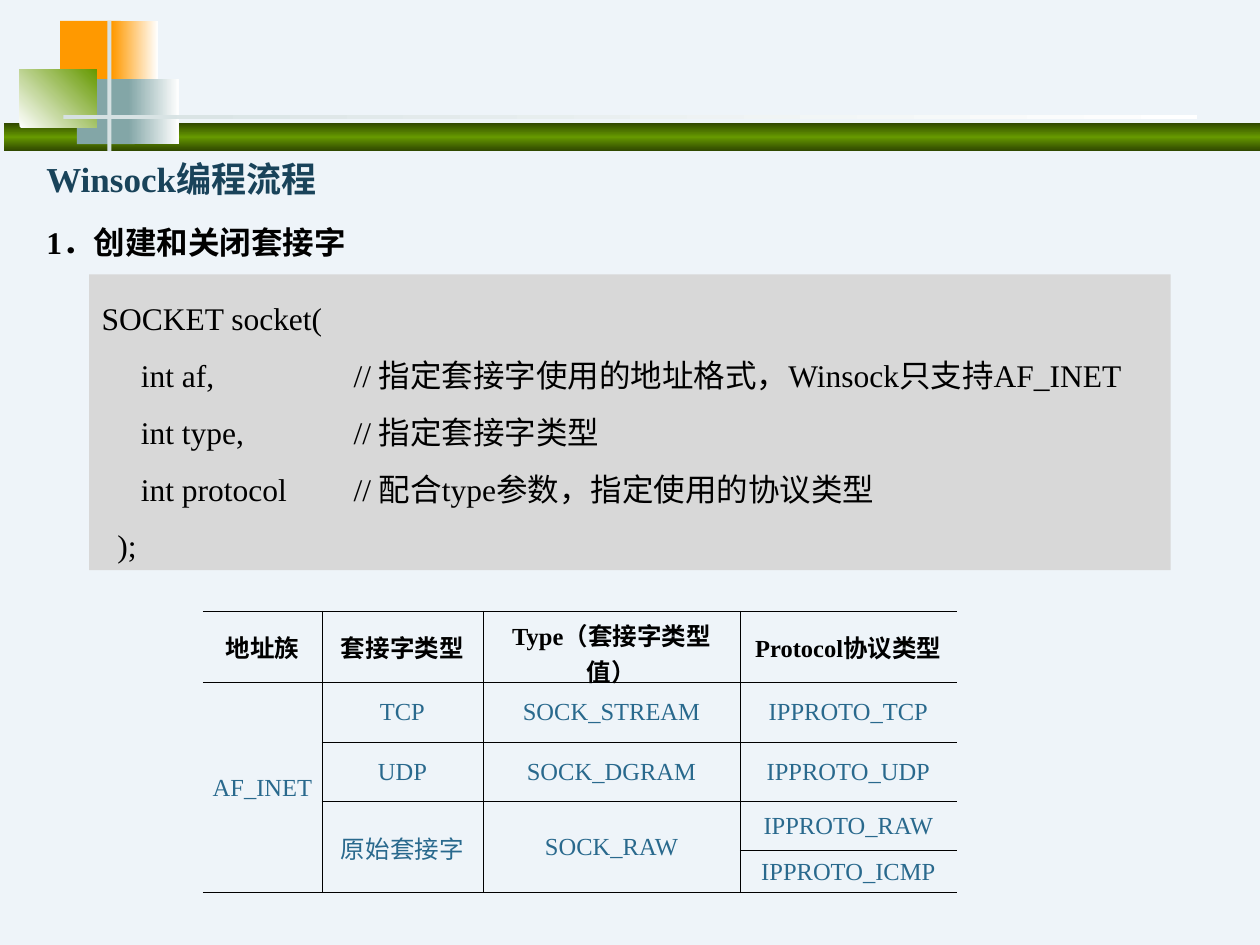
from lxml.etree import SubElement
from pptx import Presentation
from pptx.dml.color import RGBColor
from pptx.enum.shapes import MSO_SHAPE
from pptx.enum.text import MSO_ANCHOR, PP_ALIGN
from pptx.oxml.ns import qn
from pptx.util import Pt

FONT = "Times New Roman"
BACKGROUND = RGBColor(0xEE, 0xF4, 0xF9)
BLACK = RGBColor(0, 0, 0)
WHITE = RGBColor(0xFF, 0xFF, 0xFF)
GREEN = RGBColor(0x66, 0x99, 0x00)
DARK_GREEN = RGBColor(0x2F, 0x47, 0x00)
ORANGE = RGBColor(0xFF, 0x99, 0x00)
TEAL = RGBColor(0x83, 0xA6, 0xA7)
PALE_TEAL = RGBColor(0xD6, 0xE1, 0xE2)
NAVY = RGBColor(0x19, 0x43, 0x5A)
BLUE = RGBColor(0x29, 0x69, 0x8D)
GRAY = RGBColor(0xD8, 0xD8, 0xD8)

# Decoration: left, top, width, height, colours, gradient angle (clockwise)
DECORATION = [
    (2, 70.3, 718, 16, [DARK_GREEN, GREEN, DARK_GREEN], 90),
    (34.4, 12, 34.6, 37.5, [ORANGE], 0),
    (64, 12, 26.2, 37.5, [ORANGE, WHITE], 0),
    (44, 45.2, 33, 37.2, [TEAL], 0),
    (73.4, 45.2, 28.8, 37.2, [TEAL, WHITE], 0),
    (11.2, 39.5, 44.2, 33.4, [WHITE, GREEN], 315),
    (61.3, 12, 2.4, 74.4, [PALE_TEAL], 0),
    (36.2, 65.8, 648, 2.2, [PALE_TEAL, WHITE], 0),
]

# Headings: text, size, colour, space before
HEADINGS = [
    ("Winsock编程流程", 20, NAVY, 0),
    ("1．创建和关闭套接字", 18, BLACK, 4.5),
]

CODE = [
    "SOCKET socket(",
    "     int af,\t\t// 指定套接字使用的地址格式，Winsock只支持AF_INET",
    "     int type,\t// 指定套接字类型",
    "     int protocol\t// 配合type参数，指定使用的协议类型",
    "  );",
]

TABLE_ROWS = [
    ["地址族", "套接字类型", "Type（套接字类型值）", "Protocol协议类型"],
    ["AF_INET", "TCP", "SOCK_STREAM", "IPPROTO_TCP"],
    ["", "UDP", "SOCK_DGRAM", "IPPROTO_UDP"],
    ["", "原始套接字", "SOCK_RAW", "IPPROTO_RAW"],
    ["", "", "", "IPPROTO_ICMP"],
]
COLUMN_WIDTHS = [68, 92, 147, 123.7]
ROW_HEIGHTS = [41, 34, 34, 28, 23.3]
MERGES = [((1, 0), (4, 0)), ((3, 1), (4, 1)), ((3, 2), (4, 2))]


def add_rectangle(slide, left, top, width, height, colors, angle=0):
    shape = slide.shapes.add_shape(
        MSO_SHAPE.RECTANGLE, Pt(left), Pt(top), Pt(width), Pt(height))
    shape.shadow.inherit = False
    shape.line.fill.background()
    if len(colors) == 1:
        shape.fill.solid()
        shape.fill.fore_color.rgb = colors[0]
        return shape
    shape.fill.gradient()
    gradient = shape._element.spPr.find(qn("a:gradFill"))
    gradient.find(qn("a:lin")).set("ang", str(angle * 60000))
    stops = gradient.find(qn("a:gsLst"))
    for stop in list(stops):
        stops.remove(stop)
    for index, color in enumerate(colors):
        position = index * 100000 // (len(colors) - 1)
        stop = SubElement(stops, qn("a:gs"), pos=str(position))
        SubElement(stop, qn("a:srgbClr"), val=str(color))
    return shape


def add_run(paragraph, text, size, color, bold=False):
    run = paragraph.add_run()
    run.text = text
    run.font.name = FONT
    run.font.size = Pt(size)
    run.font.bold = bold
    run.font.color.rgb = color


def add_paragraphs(frame, count):
    return [frame.paragraphs[0]] + [frame.add_paragraph() for _ in range(count - 1)]


def set_borders(cell, is_first_column, is_last_column):
    properties = cell._tc.get_or_add_tcPr()
    hidden = {"L": is_first_column, "R": is_last_column}
    for position, side in enumerate("LRTB"):
        line = properties.makeelement(qn(f"a:ln{side}"), {"w": str(Pt(0.45))})
        properties.insert(position, line)
        if hidden.get(side):
            SubElement(line, qn("a:noFill"))
        else:
            fill = SubElement(line, qn("a:solidFill"))
            SubElement(fill, qn("a:srgbClr"), val=str(BLACK))


def add_headings(slide):
    box = slide.shapes.add_textbox(Pt(19.4), Pt(77), Pt(648), Pt(73.4))
    box.text_frame.word_wrap = True
    paragraphs = add_paragraphs(box.text_frame, len(HEADINGS))
    for paragraph, (text, size, color, space) in zip(paragraphs, HEADINGS):
        properties = paragraph._p.get_or_add_pPr()
        properties.set("marL", str(Pt(27)))
        properties.set("indent", str(-Pt(27)))
        paragraph.line_spacing = 1.4
        paragraph.space_before = Pt(space)
        add_run(paragraph, text, size, color, bold=True)


def add_code(slide):
    box = add_rectangle(slide, 51, 156.8, 618, 169, [GRAY])
    frame = box.text_frame
    frame.word_wrap = True
    frame.vertical_anchor = MSO_ANCHOR.TOP
    for paragraph, text in zip(add_paragraphs(frame, len(CODE)), CODE):
        paragraph.alignment = PP_ALIGN.LEFT
        paragraph.line_spacing = 1.5
        tabs = SubElement(paragraph._p.get_or_add_pPr(), qn("a:tabLst"))
        for inch in range(1, 8):
            SubElement(tabs, qn("a:tab"), pos=str(Pt(72 * inch)), algn="l")
        add_run(paragraph, text, 18, BLACK)


def add_socket_table(slide):
    table = slide.shapes.add_table(
        len(ROW_HEIGHTS), len(COLUMN_WIDTHS), Pt(116), Pt(349.2),
        Pt(sum(COLUMN_WIDTHS)), Pt(sum(ROW_HEIGHTS))).table
    table.first_row = table.horz_banding = False
    for column, width in zip(table.columns, COLUMN_WIDTHS):
        column.width = Pt(width)
    for row, height in zip(table.rows, ROW_HEIGHTS):
        row.height = Pt(height)
    for first, last in MERGES:
        table.cell(*first).merge(table.cell(*last))
    last_column = len(COLUMN_WIDTHS) - 1
    for row, texts in enumerate(TABLE_ROWS):
        for column, text in enumerate(texts):
            cell = table.cell(row, column)
            cell.fill.background()
            cell.vertical_anchor = MSO_ANCHOR.MIDDLE
            cell.margin_left = cell.margin_right = Pt(5)
            cell.margin_top = cell.margin_bottom = Pt(3.6)
            set_borders(cell, column == 0, column == last_column)
            if text:
                paragraph = cell.text_frame.paragraphs[0]
                paragraph.alignment = PP_ALIGN.CENTER
                is_header = row == 0
                add_run(paragraph, text, 14, BLACK if is_header else BLUE, is_header)


def main():
    presentation = Presentation()
    presentation.slide_width, presentation.slide_height = Pt(720), Pt(540)
    slide = presentation.slides.add_slide(presentation.slide_layouts[6])
    slide.background.fill.solid()
    slide.background.fill.fore_color.rgb = BACKGROUND
    for part in DECORATION:
        add_rectangle(slide, *part)
    add_headings(slide)
    add_code(slide)
    add_socket_table(slide)
    presentation.save("out.pptx")


if __name__ == "__main__":
    main()
